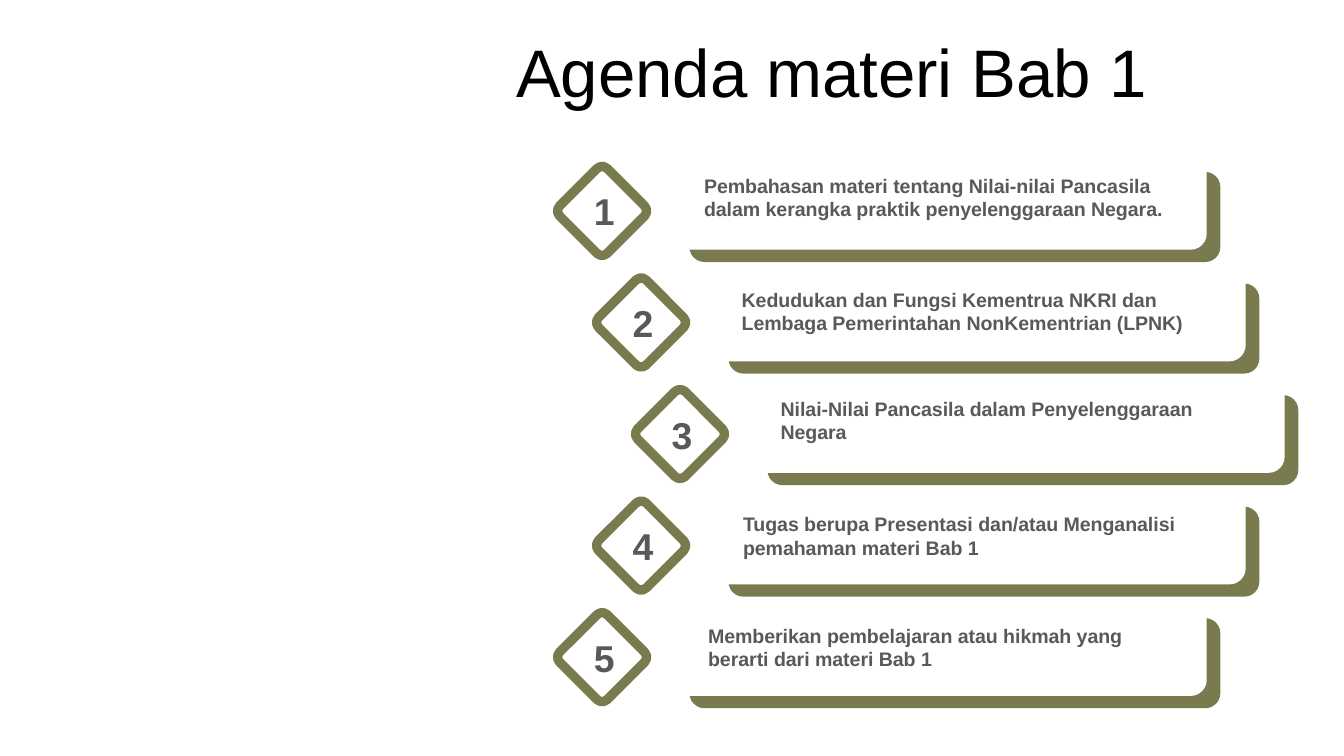
from dataclasses import dataclass

from pptx import Presentation
from pptx.dml.color import RGBColor as RGB
from pptx.enum.shapes import MSO_SHAPE as SHAPE
from pptx.enum.text import MSO_ANCHOR as ANCHOR, PP_ALIGN as ALIGN
from pptx.util import Inches, Pt


@dataclass(frozen=True)
class Theme:
    font: str = "Arial"
    black: RGB = RGB(0x00, 0x00, 0x00)
    grey: RGB = RGB(0x59, 0x59, 0x59)
    olive: RGB = RGB(0x79, 0x7B, 0x4F)
    white: RGB = RGB(0xFF, 0xFF, 0xFF)
    title: float = 36
    number: float = 20
    body: float = 10.5


theme = Theme()


def write(sp, text, *, size, color, bold=False, align=ALIGN.LEFT):
    tf = sp.text_frame
    tf.word_wrap = True
    tf.vertical_anchor = ANCHOR.MIDDLE
    p = tf.paragraphs[0]
    p.alignment = align
    r = p.add_run()
    r.text = text
    r.font.name = theme.font
    r.font.size = Pt(size)
    r.font.bold = bold
    r.font.color.rgb = color


def add_box(shapes, left, top, width, height, *, fill, line=None, weight=0):
    sp = shapes.add_shape(SHAPE.ROUNDED_RECTANGLE, Inches(left), Inches(top),
                          Inches(width), Inches(height))
    sp.shadow.inherit = False
    sp.fill.solid()
    sp.fill.fore_color.rgb = fill
    if line is None:
        sp.line.fill.background()
    else:
        sp.line.color.rgb = line
        sp.line.width = Pt(weight)
    return sp


# 16:9 slide
prs = Presentation()
prs.slide_width, prs.slide_height = Inches(10), Inches(10 * 9 / 16)
slide = prs.slides.add_slide(prs.slide_layouts[5])

# Title
title = slide.shapes.title
title.left, title.top = Inches(3.74), Inches(0.21)
title.width, title.height = Inches(6.26), Inches(0.63)
write(title, "Agenda materi Bab 1", size=theme.title, color=theme.black)

# Agenda items: indent step, text offset from the card, text
items = [
    (0, 0.12, 0.06, "Pembahasan materi tentang Nilai-nilai Pancasila dalam "
                    "kerangka praktik penyelenggaraan Negara."),
    (1, 0.11, 0.08, "Kedudukan dan Fungsi Kementrua NKRI dan Lembaga "
                    "Pemerintahan NonKementrian (LPNK)"),
    (2, 0.11, 0.06, "Nilai-Nilai Pancasila dalam Penyelenggaraan Negara"),
    (1, 0.12, 0.09, "Tugas berupa Presentasi dan/atau Menganalisi "
                    "pemahaman materi Bab 1"),
    (0, 0.15, 0.09, "Memberikan pembelajaran atau hikmah yang berarti "
                    "dari materi Bab 1"),
]
card_left, card_top, card_w, card_h = 5.02, 1.18, 3.95, 0.67
indent, pitch = 0.29, 0.83

for i, (step, dx, dy, text) in enumerate(items):
    x, y = card_left + step * indent, card_top + i * pitch
    shapes = slide.shapes.add_group_shape().shapes

    # Card over its olive backing
    add_box(shapes, x + 0.11, y + 0.1, card_w, card_h, fill=theme.olive)
    add_box(shapes, x, y, card_w, card_h,
            fill=theme.white, line=theme.white, weight=1.25)
    label = shapes.add_textbox(Inches(x + dx), Inches(y + dy),
                               Inches(3.71), Inches(0.45))
    write(label, text, size=theme.body, color=theme.grey, bold=True)

    # Numbered diamond
    diamond = add_box(shapes, x - 0.79, y + 0.14, 0.5, 0.5,
                      fill=theme.white, line=theme.olive, weight=5)
    diamond.adjustments[0] = 0.107
    diamond.rotation = 45
    number = shapes.add_textbox(Inches(x - 0.7), Inches(y + 0.17),
                                Inches(0.33), Inches(0.44))
    write(number, str(i + 1), size=theme.number, color=theme.grey,
          bold=True, align=ALIGN.CENTER)

prs.save("out.pptx")
